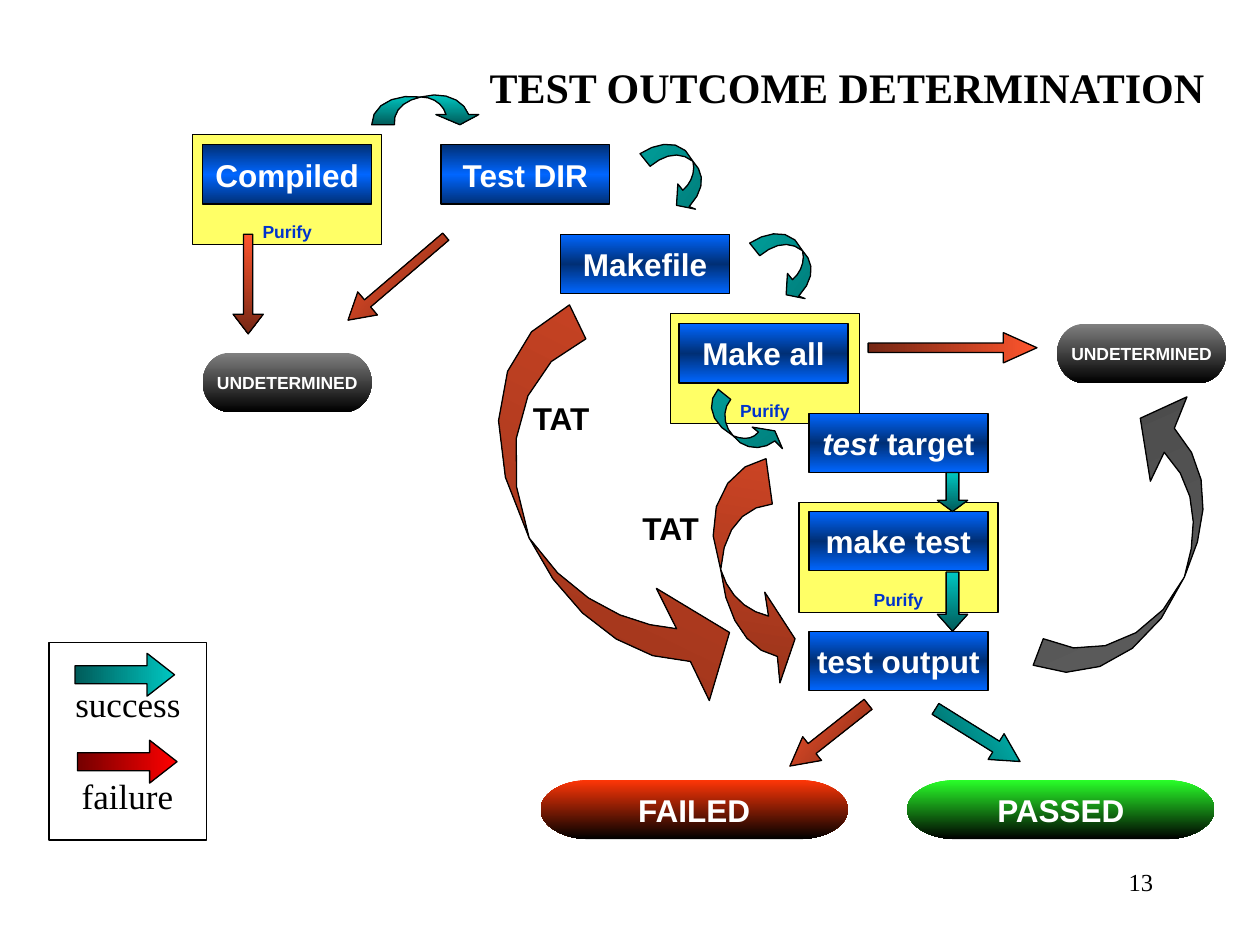
from copy import deepcopy

from pptx import Presentation
from pptx import util as u
from pptx.dml.color import RGBColor
from pptx.enum import shapes, text
from pptx.oxml.ns import qn

BLACK, WHITE = RGBColor(0, 0, 0), RGBColor(255, 255, 255)
YELLOW, PURIFY_BLUE = RGBColor(0xFF, 0xFF, 0x66), RGBColor(0, 0x33, 0xCC)
NAVY, BLUE = RGBColor(0, 0x2F, 0x75), RGBColor(0, 0x66, 0xFF)
TEAL = RGBColor(0, 0xC7, 0xC2), RGBColor(0, 0x5B, 0x59)
TEAL_BEND = RGBColor(0, 0x9C, 0x98), RGBColor(0, 0x80, 0x7D)
RUST = RGBColor(0xFF, 0x55, 0x2D), RGBColor(0x75, 0x27, 0x14)
RUST_BEND = RGBColor(0xCC, 0x44, 0x24), RGBColor(0x9A, 0x34, 0x1B)
RED = RGBColor(0xFF, 0, 0), RGBColor(0x75, 0, 0)
SLATE_BEND = RGBColor(0x4A, 0x4A, 0x4A), RGBColor(0x5C, 0x5C, 0x5C)
UNKNOWN = RGBColor(0x80, 0x80, 0x80), BLACK
FAIL = RGBColor(0xFF, 0x36, 0x07), BLACK
PASS = RGBColor(0x29, 0xFF, 0x29), BLACK
DARK_EDGES, DARK_CORE = (NAVY, BLUE, NAVY), (BLUE, NAVY, BLUE)
KIND = shapes.MSO_SHAPE
ALIGN, ANCHOR = text.PP_ALIGN, text.MSO_ANCHOR
STEP_H = 0.47
BEND_STEPS = 5


def paint(shape, colours, angle=90, outlined=True):
    """Fill with evenly spaced gradient colours, at a clockwise angle."""
    shape.shadow.inherit = False
    shape.fill.gradient()
    shape.fill.gradient_angle = -angle % 360
    stop_list = shape.element.spPr.find(".//" + qn("a:gsLst"))
    for _ in colours[2:]:
        stop_list.append(deepcopy(stop_list[-1]))
    for i, (stop, colour) in enumerate(zip(shape.fill.gradient_stops, colours)):
        stop.position = i / (len(colours) - 1)
        stop.color.rgb = colour
    if outlined:
        shape.line.color.rgb, shape.line.width = BLACK, u.Pt(0.74)
    else:
        shape.line.fill.background()


def write(shape, words, size, colour=BLACK, font="Arial", bold=True,
          align=ALIGN.CENTER, anchor=ANCHOR.MIDDLE, wrap=False):
    """Put one paragraph into a shape; words may be a list of runs."""
    frame = shape.text_frame
    frame.word_wrap, frame.vertical_anchor = wrap, anchor
    paragraph = frame.paragraphs[0]
    for part in [words] if isinstance(words, str) else words:
        paragraph.add_run().text = part
    paragraph.alignment = align
    face = paragraph.font
    face.name, face.size, face.bold = font, u.Pt(size), bold
    face.color.rgb = colour


deck = Presentation()
deck.slide_width, deck.slide_height = u.Inches(10), u.Inches(7.5)
slide = deck.slides.add_slide(deck.slide_layouts[5])
canvas = slide.shapes

title = canvas.title
title.left, title.top, title.width, title.height = map(u.Inches, (3.21, 0.44, 6.45, 0.5))
write(title, "TEST OUTCOME DETERMINATION", 24, font="Times New Roman", align=ALIGN.RIGHT)

# Yellow frames around the steps checked by Purify
for left, top, width in [(6.34, 3.99, 1.58), (5.32, 2.49, 1.5), (1.53, 1.07, 1.5)]:
    purify = canvas.add_shape(KIND.FLOWCHART_PROCESS,
                              *map(u.Inches, (left, top, width, 0.87)))
    purify.shadow.inherit = False
    purify.fill.solid()
    purify.fill.fore_color.rgb = YELLOW
    purify.line.color.rgb, purify.line.width = BLACK, u.Pt(0.74)
    purify.text_frame.margin_bottom = u.Inches(0.02)
    write(purify, "Purify", 10, PURIFY_BLUE, anchor=ANCHOR.BOTTOM)

# Steps
for words, left, top, width, colours in [
    ("Compiled", 1.61, 1.15, 1.34, DARK_EDGES),
    ("Test DIR", 3.5, 1.15, 1.34, DARK_EDGES),
    ("Makefile", 4.45, 1.86, 1.34, DARK_CORE),
    ("Make all", 5.39, 2.57, 1.34, DARK_CORE),
    (["test", " target"], 6.42, 3.28, 1.42, DARK_CORE),
    ("make test", 6.42, 4.06, 1.42, DARK_CORE),
    ("test output", 6.42, 5.01, 1.42, DARK_CORE),
]:
    step = canvas.add_shape(KIND.FLOWCHART_PROCESS,
                            *map(u.Inches, (left, top, width, STEP_H)))
    paint(step, colours)
    write(step, words, 18, WHITE)
    if isinstance(words, list):
        step.text_frame.paragraphs[0].runs[0].font.italic = True

# Outcomes
for words, left, top, width, size, colours in [
    ("UNDETERMINED", 1.61, 2.8, 1.34, 10, UNKNOWN),
    ("UNDETERMINED", 8.39, 2.57, 1.34, 10, UNKNOWN),
    ("FAILED", 4.29, 6.19, 2.44, 18, FAIL),
    ("PASSED", 7.2, 6.19, 2.44, 18, PASS),
]:
    outcome = canvas.add_shape(KIND.FLOWCHART_TERMINATOR,
                               *map(u.Inches, (left, top, width, STEP_H)))
    paint(outcome, colours, outlined=False)
    write(outcome, words, size, WHITE)

# Straight arrows: left, top, width, height, turn, shaft, head, colours
for left, top, width, height, turn, shaft, head, colours in [
    (1.85, 1.86, 0.24, 0.79, 0, 0.31, 0.65, RUST),
    (3.03, 1.7, 0.24, 1.02, 49.5, 0.31, 0.85, RUST),
    (7.44, 2.09, 0.24, 1.34, 270, 0.31, 1.11, RUST),
    (7.64, 5.44, 0.24, 0.79, 301.9, 0.42, 0.93, TEAL),
    (6.46, 5.44, 0.24, 0.79, 51.7, 0.42, 0.93, RUST),
    (7.44, 3.75, 0.24, 0.31, 0, 0.42, 0.37, TEAL),
    (7.44, 4.54, 0.24, 0.47, 0, 0.42, 0.56, TEAL),
    (0.82, 4.96, 0.34, 0.79, 270, 0.42, 0.64, TEAL),
    (0.84, 5.65, 0.34, 0.79, 270, 0.42, 0.64, RED),
]:
    arrow = canvas.add_shape(KIND.DOWN_ARROW, *map(u.Inches, (left, top, width, height)))
    arrow.adjustments[0], arrow.adjustments[1] = shaft, head
    arrow.rotation = turn
    paint(arrow, colours, 90 - 2 * turn)

# Curved arrows: tail, 2 controls, fold, 2 controls, inner tail, then 2 controls,
# head base, wing, tip, wing, head base, 2 controls back to the fold
TO_NEXT_STEP = [(5.08, 1.22), (5.23, 1.12), (5.42, 1.1), (5.5, 1.28), (5.4, 1.2), (5.28, 1.22),
                (5.16, 1.32), (5.59, 1.37), (5.6, 1.5), (5.47, 1.64), (5.52, 1.66),
                (5.37, 1.63), (5.38, 1.46), (5.42, 1.51), (5.49, 1.45), (5.52, 1.36)]
for points, colours, angle in [
    ([(6.08, 3.64), (5.79, 3.69), (5.54, 4.05), (5.72, 4.52), (5.74, 4.2), (5.9, 4.02),
      (6.13, 4), (5.76, 4.92), (5.95, 5.17), (6.17, 5.21), (6.19, 5.42),
      (6.31, 5.07), (6.07, 4.7), (6.1, 4.89), (5.92, 4.85), (5.78, 4.72)], RUST_BEND, 99),
    (TO_NEXT_STEP, TEAL_BEND, 35),
    ([(x + 0.87, y + 0.71) for x, y in TO_NEXT_STEP], TEAL_BEND, 35),
    ([(2.95, 0.99), (2.95, 0.84), (3.12, 0.74), (3.34, 0.77), (3.2, 0.8), (3.12, 0.88),
      (3.13, 0.99), (3.52, 0.72), (3.68, 0.79), (3.72, 0.91), (3.8, 0.91),
      (3.65, 0.99), (3.46, 0.91), (3.54, 0.91), (3.52, 0.83), (3.44, 0.77)], TEAL, 90),
    ([(5.7, 3.09), (5.6, 3.2), (5.64, 3.36), (5.82, 3.46), (5.74, 3.38), (5.73, 3.25),
      (5.8, 3.17), (5.9, 3.57), (6.05, 3.58), (6.15, 3.5), (6.21, 3.56),
      (6.15, 3.42), (5.97, 3.39), (6.02, 3.43), (5.97, 3.49), (5.9, 3.49)], TEAL_BEND, 55),
    ([(4.52, 2.42), (3.93, 2.68), (3.77, 3.45), (4.2, 4.27), (3.95, 3.59), (4.12, 2.9),
      (4.65, 2.69), (4.47, 4.85), (4.98, 5.25), (5.48, 5.25), (5.63, 5.56),
      (5.79, 5.02), (5.21, 4.67), (5.37, 4.99), (5.05, 4.97), (4.55, 4.8)], RUST_BEND, 116),
    ([(8.2, 5.28), (8.62, 5.46), (9.14, 5.2), (9.4, 4.58), (9.17, 5.07), (8.66, 5.27),
      (8.28, 5.07), (9.62, 4.1), (9.6, 3.7), (9.32, 3.4), (9.42, 3.15),
      (9.05, 3.32), (9.13, 3.82), (9.24, 3.59), (9.5, 3.85), (9.52, 4.2)], SLATE_BEND, 66),
]:
    emu = [(u.Inches(x), u.Inches(y)) for x, y in points]
    fold = emu[3]
    curves = []
    for corners in (emu[:4], emu[3:7], [fold, *emu[7:10]], [*emu[13:], fold]):
        curves.append([
            tuple(round(sum(w * c[axis] for w, c in zip(
                ((1 - t) ** 3, 3 * t * (1 - t) ** 2, 3 * t * t * (1 - t), t ** 3), corners)))
                for axis in (0, 1))
            for t in (i / BEND_STEPS for i in range(1, BEND_STEPS + 1))])
    outline = canvas.build_freeform(*emu[0])
    outline.add_line_segments(curves[0] + curves[1], close=True)
    outline.move_to(*fold)
    outline.add_line_segments(curves[2] + emu[10:14] + curves[3][:-1], close=True)
    paint(outline.convert_to_shape(), colours, angle)

# Labels, legend words and page number
SERIF = dict(font="Times New Roman", bold=False)
for words, left, top, width, height, size, style in [
    ("TAT", 4.13, 3.12, 0.79, 0.4, 18, dict(align=ALIGN.LEFT)),
    ("TAT", 5, 3.99, 0.79, 0.4, 18, dict(align=ALIGN.LEFT)),
    ("success", 0.5, 5.37, 1.1, 0.44, 20, dict(SERIF, align=ALIGN.LEFT)),
    ("failure", 0.55, 6.1, 1.05, 0.44, 20, dict(SERIF, align=ALIGN.LEFT)),
    ("13", 7.17, 6.83, 2.08, 0.5, 14, dict(SERIF, align=ALIGN.RIGHT, wrap=True)),
]:
    label = canvas.add_textbox(*map(u.Inches, (left, top, width, height)))
    write(label, words, size, anchor=ANCHOR.TOP, **style)

legend = canvas.add_shape(KIND.RECTANGLE, *map(u.Inches, (0.39, 5.1, 1.25, 1.57)))
legend.shadow.inherit = False
legend.fill.background()
legend.line.color.rgb, legend.line.width = BLACK, u.Pt(1)

deck.save("out.pptx")
